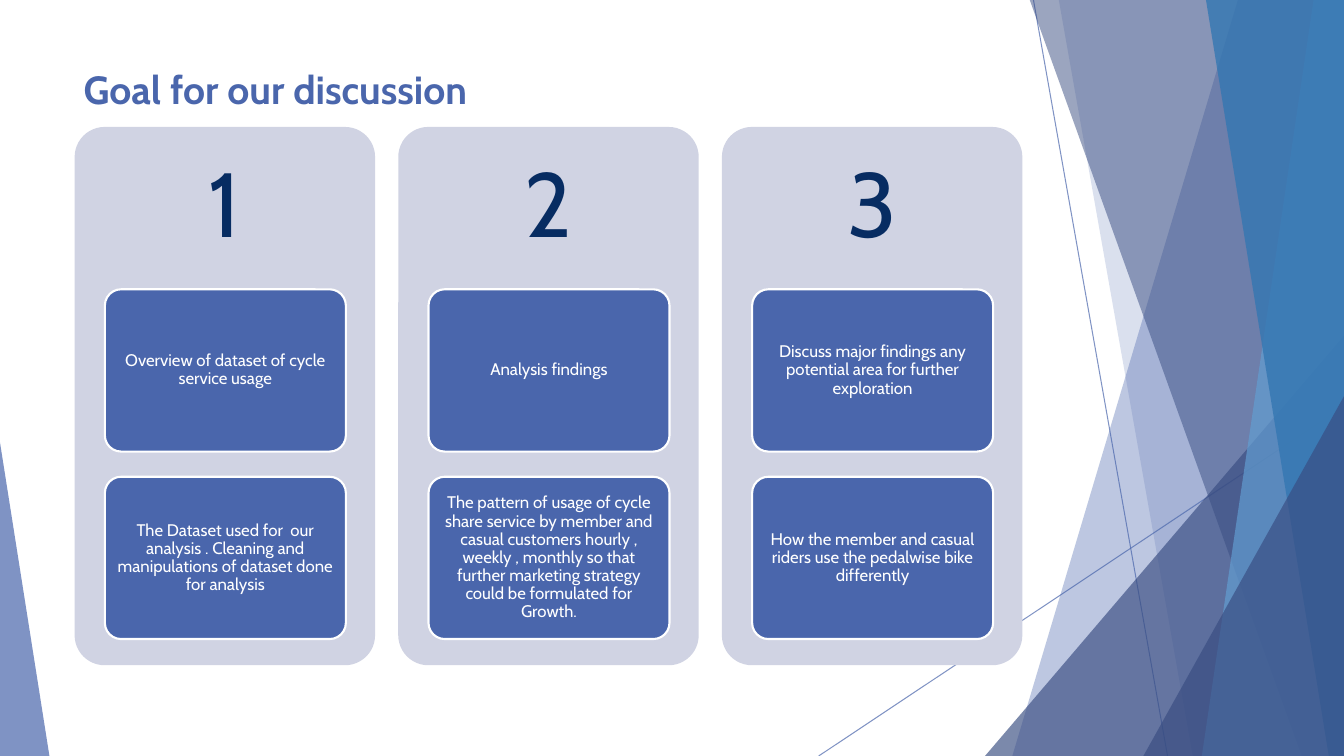
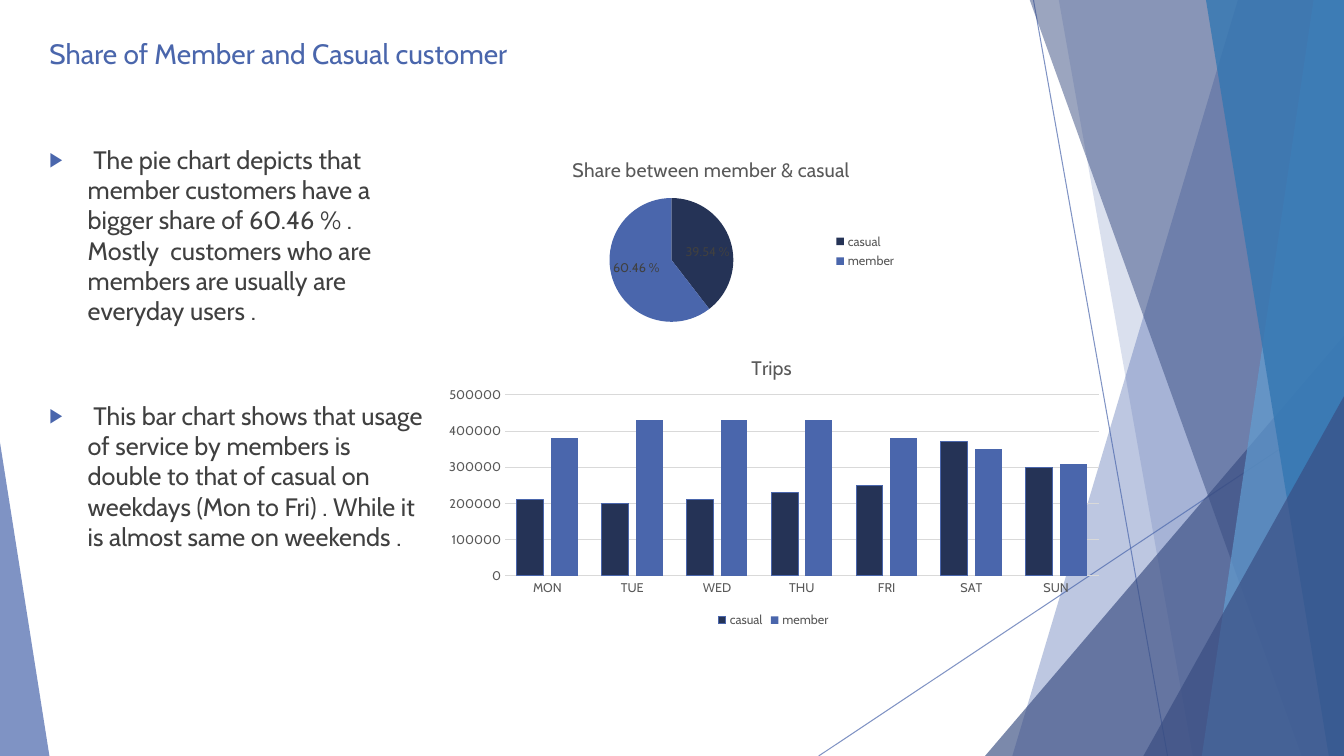
import pptx
import pptx.chart.data
import pptx.dml.color
import pptx.enum.chart
import pptx.enum.shapes
import pptx.enum.text
import pptx.oxml
import pptx.oxml.ns
import pptx.util
from pptx.util import Inches

FONT = "Cabin"
BLUE, NAVY, INDIGO = "4A66AC", "253356", "384C81"
SKY, OCEAN, WHITE = "629DD1", "3477B2", "FFFFFF"
PANEL, NUMBER, BODY = "D0D3E3", "072C62", "404040"
CHART_TEXT, GRID = "595959", "D9D9D9"
WIDTH, HEIGHT = 13.33, 7.5

ALIGN = pptx.enum.text.PP_ALIGN
ANCHOR = pptx.enum.text.MSO_ANCHOR
SHAPE = pptx.enum.shapes.MSO_SHAPE
CHART = pptx.enum.chart.XL_CHART_TYPE
LEGEND = pptx.enum.chart.XL_LEGEND_POSITION

LINES = [(10.25, 0, 11.58, HEIGHT), (WIDTH, 4.03, 8.12, HEIGHT)]
FACETS = [
    ("band", (12.28, 10.04), BLUE, 36),
    ("band", (10.5, 11.83), BLUE, 20),
    ("triangle", (9.77, 3.33, 3.56, 4.17, 1), INDIGO, 66),
    ("band", (10.21, 12.91), INDIGO, 50),
    ("band", (13.03, 11.92), SKY, 70),
    ("band", (11.96, 13.18), OCEAN, 80),
    ("triangle", (11.34, 3.93, 1.99, 3.57, 1), INDIGO, 66),
    ("triangle", (0, 4.39, 0.49, 3.11, 0), BLUE, 70),
]
GOALS = [
    ("1", [
        "Overview of dataset of cycle service usage",
        "The Dataset used for  our analysis . Cleaning and manipulations of dataset done for analysis",
    ]),
    ("2", [
        "Analysis findings",
        "The pattern of usage of cycle share service by member and casual customers hourly , weekly , "
        "monthly so that further marketing strategy could be formulated for Growth.",
    ]),
    ("3", [
        "Discuss major findings any potential area for further exploration",
        "How the member and casual riders use the pedalwise bike differently",
    ]),
]
FINDINGS = [
    " The pie chart depicts that member customers have a bigger share of 60.46 % . "
    "Mostly  customers who are members are usually are everyday users .",
    " This bar chart shows that usage of service by members is double to that of casual "
    "on weekdays (Mon to Fri) . While it is almost same on weekends .",
]
SHARES = {"casual": 0.3954, "member": 0.6046}
DAYS = ["MON", "TUE", "WED", "THU", "FRI", "SAT", "SUN"]
TRIPS = {
    "casual": [210000, 200000, 210000, 230000, 250000, 370000, 300000],
    "member": [380000, 430000, 430000, 430000, 380000, 350000, 310000],
}
RIDER_COLORS = [NAVY, BLUE]


def paint(fill, color):
    fill.solid()
    fill.fore_color.rgb = pptx.dml.color.RGBColor.from_string(color)


def stroke(line, color, points):
    paint(line.fill, color)
    line.width = pptx.util.Pt(points)


def fade(part, percent):
    for color in part.element.spPr.iter(pptx.oxml.ns.qn("a:srgbClr")):
        alpha = color.makeelement(pptx.oxml.ns.qn("a:alpha"), {"val": str(percent * 1000)})
        color.append(alpha)


def style(font, size, color, bold=False):
    font.name = FONT
    font.size = pptx.util.Pt(size)
    font.bold = bold
    paint(font.fill, color)


def write(frame, text, size, color, align=ALIGN.LEFT, anchor=ANCHOR.TOP, bold=False):
    frame.word_wrap = True
    frame.auto_size = pptx.enum.text.MSO_AUTO_SIZE.NONE
    frame.vertical_anchor = anchor
    paragraph = frame.paragraphs[0]
    paragraph.alignment = align
    run = paragraph.add_run()
    run.text = text
    style(run.font, size, color, bold)
    return paragraph


def move(part, box):
    part.left, part.top, part.width, part.height = map(Inches, box)


def add_block(slide, preset, box, color):
    block = slide.shapes.add_shape(preset, *map(Inches, box))
    block.shadow.inherit = False
    paint(block.fill, color)
    block.line.fill.background()
    return block


def add_band(slide, top_x, bottom_x, color):
    outline = slide.shapes.build_freeform(Inches(top_x), Inches(-0.01), 1)
    corners = [(WIDTH, -0.01), (WIDTH, HEIGHT), (bottom_x, HEIGHT)]
    outline.add_line_segments([(Inches(x), Inches(y)) for x, y in corners], close=True)
    band = outline.convert_to_shape()
    band.shadow.inherit = False
    paint(band.fill, color)
    band.line.fill.background()
    return band


def decorate_master(master, slide):
    decor = []
    for x1, y1, x2, y2 in LINES:
        ray = slide.shapes.add_connector(
            pptx.enum.shapes.MSO_CONNECTOR.STRAIGHT, *map(Inches, (x1, y1, x2, y2)))
        stroke(ray.line, BLUE, 0.75)
        properties = ray.element.spPr
        properties.append(properties.makeelement(pptx.oxml.ns.qn("a:effectLst"), {}))
        fade(ray, 70)
        decor.append(ray)
    for kind, geometry, color, opacity in FACETS:
        if kind == "band":
            facet = add_band(slide, *geometry, color)
        else:
            facet = add_block(slide, SHAPE.ISOSCELES_TRIANGLE, geometry[:4], color)
            facet.adjustments[0] = geometry[4]
        fade(facet, opacity)
        decor.append(facet)
    for number, part in enumerate(decor, 100):
        part.element.xpath(".//p:cNvPr")[0].set("id", str(number))
        master.shapes.element.append(part.element)


def add_title(slide, text, box, size, bold=False):
    title = slide.shapes.title
    move(title, box)
    write(title.text_frame, text, size, BLUE, bold=bold)


def add_goal(slide, box, number, cards):
    left, top, width, height = box
    panel = add_block(slide, SHAPE.ROUNDED_RECTANGLE, box, PANEL)
    panel.adjustments[0] = 0.1
    heading = slide.shapes.add_textbox(*map(Inches, (left, top, width, 1.6)))
    paragraph = write(heading.text_frame, number, 65, NUMBER, ALIGN.CENTER, ANCHOR.MIDDLE)
    paragraph.line_spacing = 0.9
    for row, text in enumerate(cards):
        card_box = (left + 0.3, top + 1.61 + row * 1.86, width - 0.59, 1.61)
        card = add_block(slide, SHAPE.ROUNDED_RECTANGLE, card_box, BLUE)
        card.adjustments[0] = 0.1
        stroke(card.line, WHITE, 1.5)
        frame = card.text_frame
        frame.margin_left = frame.margin_right = Inches(0.08)
        frame.margin_top = frame.margin_bottom = Inches(0.08)
        paragraph = write(frame, text, 12, WHITE, ALIGN.CENTER, ANCHOR.MIDDLE)
        paragraph.line_spacing = 0.9


def add_finding(placeholder, box, text):
    move(placeholder, box)
    paragraph = write(placeholder.text_frame, text, 18, BODY)
    paragraph.space_before = pptx.util.Pt(10)
    properties = paragraph._p.get_or_add_pPr()
    properties.set("marL", str(Inches(0.38)))
    properties.set("indent", str(Inches(-0.38)))
    namespace = pptx.oxml.ns.nsdecls("a")
    for bullet in (
        f'<a:buClr {namespace}><a:srgbClr val="{BLUE}"/></a:buClr>',
        f'<a:buSzPct {namespace} val="80000"/>',
        f'<a:buChar {namespace} char="▶"/>',
    ):
        properties.append(pptx.oxml.parse_xml(bullet))


def set_layout(element, index, target, **fractions):
    for old in element.findall(pptx.oxml.ns.qn("c:layout")):
        element.remove(old)
    inner = '<c:layoutTarget val="inner"/>' if target else ""
    modes = "".join(f'<c:{axis}Mode val="edge"/>' for axis in "xy")
    values = "".join(f'<c:{key} val="{value}"/>' for key, value in fractions.items())
    element.insert(index, pptx.oxml.parse_xml(
        f'<c:layout {pptx.oxml.ns.nsdecls("c")}><c:manualLayout>'
        f"{inner}{modes}{values}</c:manualLayout></c:layout>"))


def add_rider_chart(slide, kind, box, data, title, legend_side, plot, title_at, legend_at):
    chart = slide.shapes.add_chart(kind, *map(Inches, box), data).chart
    style(chart.font, 10, "000000")
    chart.has_title = True
    run = chart.chart_title.text_frame.paragraphs[0].add_run()
    run.text = title
    style(run.font, 14, CHART_TEXT)
    chart.has_legend = True
    chart.legend.position = legend_side
    chart.legend.include_in_layout = False
    style(chart.legend.font, 9, CHART_TEXT)
    plot_area = chart.element.xpath("c:chart/c:plotArea")[0]
    set_layout(plot_area, 0, True, **dict(zip("xywh", plot)))
    title_element = chart.element.xpath("c:chart/c:title")[0]
    set_layout(title_element, 1, False, **dict(zip("xy", title_at)))
    legend_element = chart.element.xpath("c:chart/c:legend")[0]
    set_layout(legend_element, 1, False, **dict(zip("xy", legend_at)))
    return chart


def add_share_pie(slide, box):
    data = pptx.chart.data.CategoryChartData()
    data.categories = list(SHARES)
    data.add_series("Series 1", list(SHARES.values()))
    chart = add_rider_chart(
        slide, CHART.PIE, box, data, "Share between member & casual", LEGEND.RIGHT,
        (0.28, 0.3, 0.28, 0.63), (0.19, 0.07), (0.78, 0.46))
    chart.plots[0].vary_by_categories = True
    series = chart.plots[0].series[0]
    for index, color in enumerate(RIDER_COLORS):
        paint(series.points[index].format.fill, color)
    labels = series.data_labels
    labels.show_value = True
    labels.number_format = "0.00\\ %"
    labels.number_format_is_linked = False
    labels.position = pptx.enum.chart.XL_LABEL_POSITION.BEST_FIT
    style(labels.font, 9, BODY)


def add_trip_columns(slide, box):
    data = pptx.chart.data.CategoryChartData()
    data.categories = DAYS
    for rider, trips in TRIPS.items():
        data.add_series(rider, trips)
    chart = add_rider_chart(
        slide, CHART.COLUMN_CLUSTERED, box, data, "Trips", LEGEND.BOTTOM,
        (0.1, 0.2, 0.88, 0.61), (0.46, 0.05), (0.41, 0.92))
    columns = chart.plots[0]
    columns.vary_by_categories = False
    columns.gap_width, columns.overlap = 89, -27
    for series, color in zip(columns.series, RIDER_COLORS):
        paint(series.format.fill, color)
    stroke(columns.series[0].format.line, BLUE, 0.75)
    for axis in (chart.category_axis, chart.value_axis):
        axis.major_tick_mark = pptx.enum.chart.XL_TICK_MARK.NONE
        style(axis.tick_labels.font, 9, CHART_TEXT)
    stroke(chart.category_axis.format.line, GRID, 0.75)
    scale = chart.value_axis
    scale.minimum_scale, scale.maximum_scale, scale.major_unit = 0, 500000, 100000
    scale.format.line.fill.background()
    stroke(scale.major_gridlines.format.line, GRID, 0.75)


def build_goals(slide):
    add_title(slide, "Goal for our discussion", (0.73, 0.6, 9.4, 0.58), 28, bold=True)
    for column, (number, cards) in enumerate(GOALS):
        add_goal(slide, (0.74 + column * 3.21, 1.26, 2.98, 5.34), number, cards)


def build_shares(slide):
    add_title(slide, "Share of Member and Casual customer", (0.39, 0.31, 9.4, 0.57), 20)
    for index, (top, text) in enumerate(zip((1.38, 3.92), FINDINGS), 1):
        add_finding(slide.placeholders[index], (0.39, top, 3.95, 1.95), text)
    add_share_pie(slide, (4.8, 1.38, 4.43, 1.95))
    add_trip_columns(slide, (4.34, 3.33, 6.69, 2.94))


def main():
    deck = pptx.Presentation()
    deck.slide_width, deck.slide_height = Inches(WIDTH), Inches(HEIGHT)
    goals = deck.slides.add_slide(deck.slide_layouts[5])
    decorate_master(deck.slide_master, goals)
    build_goals(goals)
    build_shares(deck.slides.add_slide(deck.slide_layouts[3]))
    deck.save("out.pptx")


if __name__ == "__main__":
    main()
